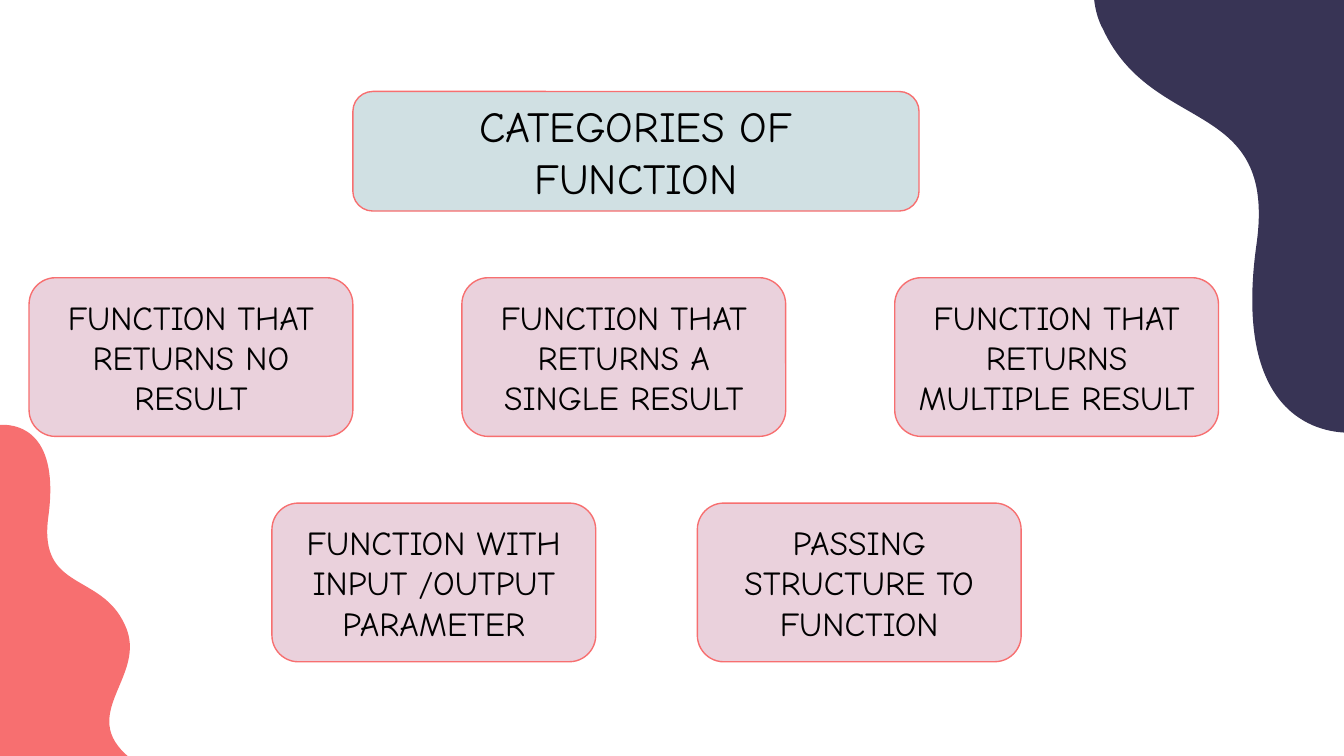
import lxml.etree
import pptx
import pptx.dml.color
import pptx.enum.shapes
import pptx.enum.text
import pptx.oxml.ns
import pptx.util

Cm = pptx.util.Cm

TITLE = "CATEGORIES OF FUNCTION"
TITLE_AREA = (6.67, 1.73, 10.7, 2.26)

# Each row: left of first box, top, distance between lefts, labels
ROWS = [
    (0.55, 5.25, 8.18, [
        "FUNCTION THAT RETURNS NO RESULT",
        "FUNCTION THAT RETURNS A SINGLE RESULT",
        "FUNCTION THAT RETURNS MULTIPLE RESULT",
    ]),
    (5.14, 9.51, 8.04, [
        "FUNCTION WITH INPUT /OUTPUT PARAMETER",
        "PASSING STRUCTURE TO FUNCTION",
    ]),
]
BOX_SIZE = (6.12, 3.0)

# Corner blobs: start point, then steps of one point (line) or three (curve)
BLOBS = [
    ("coral", (0.05, 8.03), [
        [(-0.03, 8.03), (-0.08, 8.03), (-0.08, 8.03)],
        [(-0.08, 14.33)],
        [(2.46, 14.33)],
        [(1.42, 13.49), (2.82, 12.78), (2.36, 11.81)],
        [(1.91, 10.82), (0.74, 11.18), (0.91, 9.8)],
        [(1.14, 8.18), (0.36, 8.03), (0.05, 8.03)],
    ]),
    ("navy", (20.68, 0), [
        [(20.7, 0.18), (20.75, 0.38), (20.85, 0.56)],
        [(21.79, 2.57), (24.13, 1.83), (23.75, 4.6)],
        [(23.29, 7.82), (24.87, 8.18), (25.5, 8.18)],
        [(25.5, 0)],
    ]),
]

THEME = {
    "font": "Comic Neue",
    "title_size": 23,
    "box_size": 18,
    "text": "000000",
    "title_fill": "D0E0E3",
    "box_fill": "EAD1DC",
    "coral": "F76F70",
    "navy": "383455",
    "background": "FFFFFF",
    "line_width": 0.75,
    "margin": 0.25,
    "title_margin": 0.4,
}


def color(name):
    return pptx.dml.color.RGBColor.from_string(THEME[name])


def paint(shape, fill_name):
    shape.fill.solid()
    shape.fill.fore_color.rgb = color(fill_name)


def bend_curves(blob, steps):
    """Turn each three-point step of the outline into one Bezier curve."""
    lines = iter(list(blob.element.iter(pptx.oxml.ns.qn("a:lnTo"))))
    for step in steps:
        group = [next(lines) for _ in step]
        if len(group) == 3:
            curve = lxml.etree.Element(pptx.oxml.ns.qn("a:cubicBezTo"))
            group[0].addprevious(curve)
            for line in group:
                curve.append(line[0])
                line.getparent().remove(line)


def add_blob(page, fill_name, start, steps):
    builder = page.shapes.build_freeform(*map(Cm, start))
    builder.add_line_segments(
        [(Cm(x), Cm(y)) for step in steps for x, y in step], close=True)
    blob = builder.convert_to_shape()
    bend_curves(blob, steps)
    blob.shadow.inherit = False
    paint(blob, fill_name)
    blob.line.fill.background()


def add_card(page, area, fill_name):
    card = page.shapes.add_shape(
        pptx.enum.shapes.MSO_SHAPE.ROUNDED_RECTANGLE, *map(Cm, area))
    card.shadow.inherit = False
    paint(card, fill_name)
    card.line.color.rgb = color("coral")
    card.line.width = pptx.util.Pt(THEME["line_width"])
    return card


def write_label(shape, label, size_name, side_margin):
    frame = shape.text_frame
    frame.word_wrap = True
    frame.auto_size = pptx.enum.text.MSO_AUTO_SIZE.NONE
    frame.vertical_anchor = pptx.enum.text.MSO_ANCHOR.MIDDLE
    frame.margin_left = frame.margin_right = Cm(THEME[side_margin])
    frame.margin_top = frame.margin_bottom = Cm(THEME["margin"])
    para = frame.paragraphs[0]
    para.alignment = pptx.enum.text.PP_ALIGN.CENTER
    span = para.add_run()
    span.text = label
    span.font.name = THEME["font"]
    span.font.size = pptx.util.Pt(THEME[size_name])
    span.font.color.rgb = color("text")


def add_title(page):
    """Place the title placeholder on top of a rounded card."""
    card = add_card(page, TITLE_AREA, "title_fill")
    title = page.shapes.title
    title.left, title.top, title.width, title.height = map(Cm, TITLE_AREA)
    card.element.addnext(title.element)
    write_label(title, TITLE, "title_size", "title_margin")


def main():
    deck = pptx.Presentation()
    deck.slide_width, deck.slide_height = Cm(25.4), Cm(14.29)
    page = deck.slides.add_slide(deck.slide_layouts.get_by_name("Title Only"))
    paint(page.background, "background")
    for blob in BLOBS:
        add_blob(page, *blob)
    add_title(page)
    for left, top, pitch, labels in ROWS:
        for column, label in enumerate(labels):
            box = add_card(page, (left + column * pitch, top, *BOX_SIZE), "box_fill")
            write_label(box, label, "box_size", "margin")
    deck.save("out.pptx")


if __name__ == "__main__":
    main()
